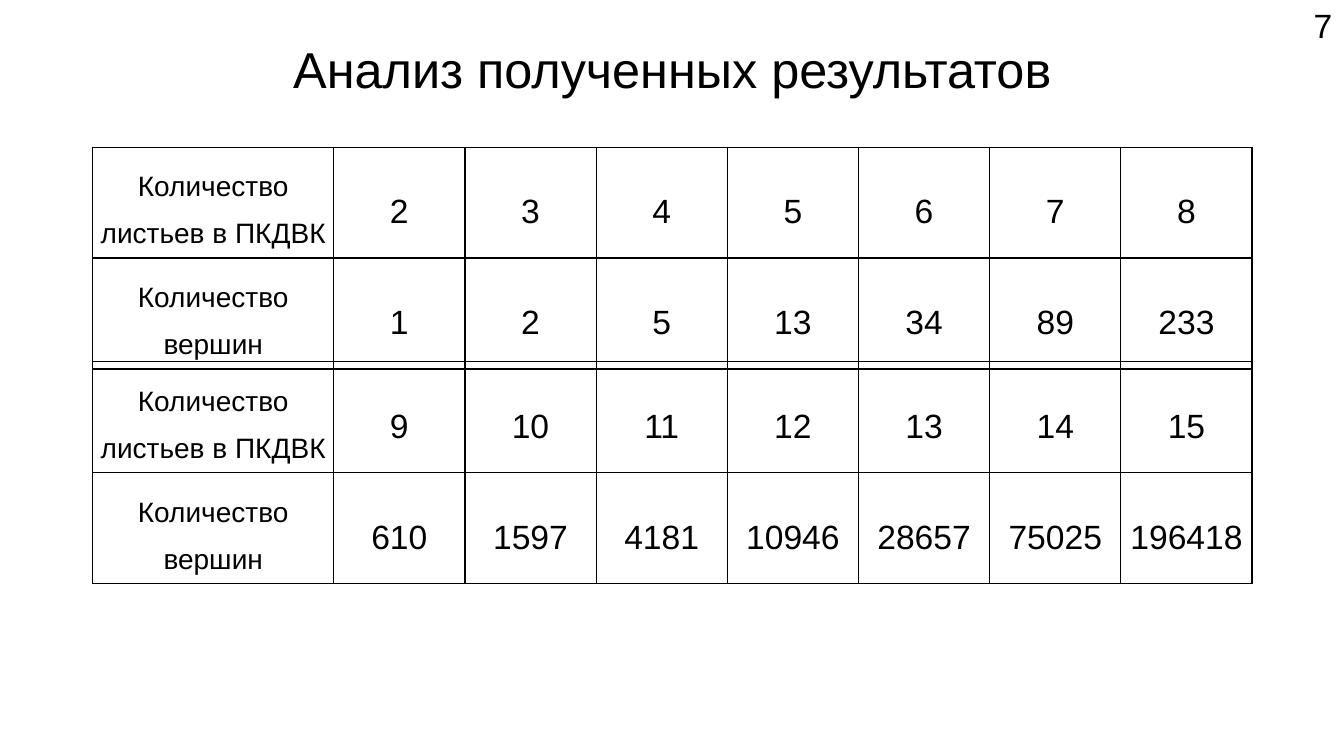
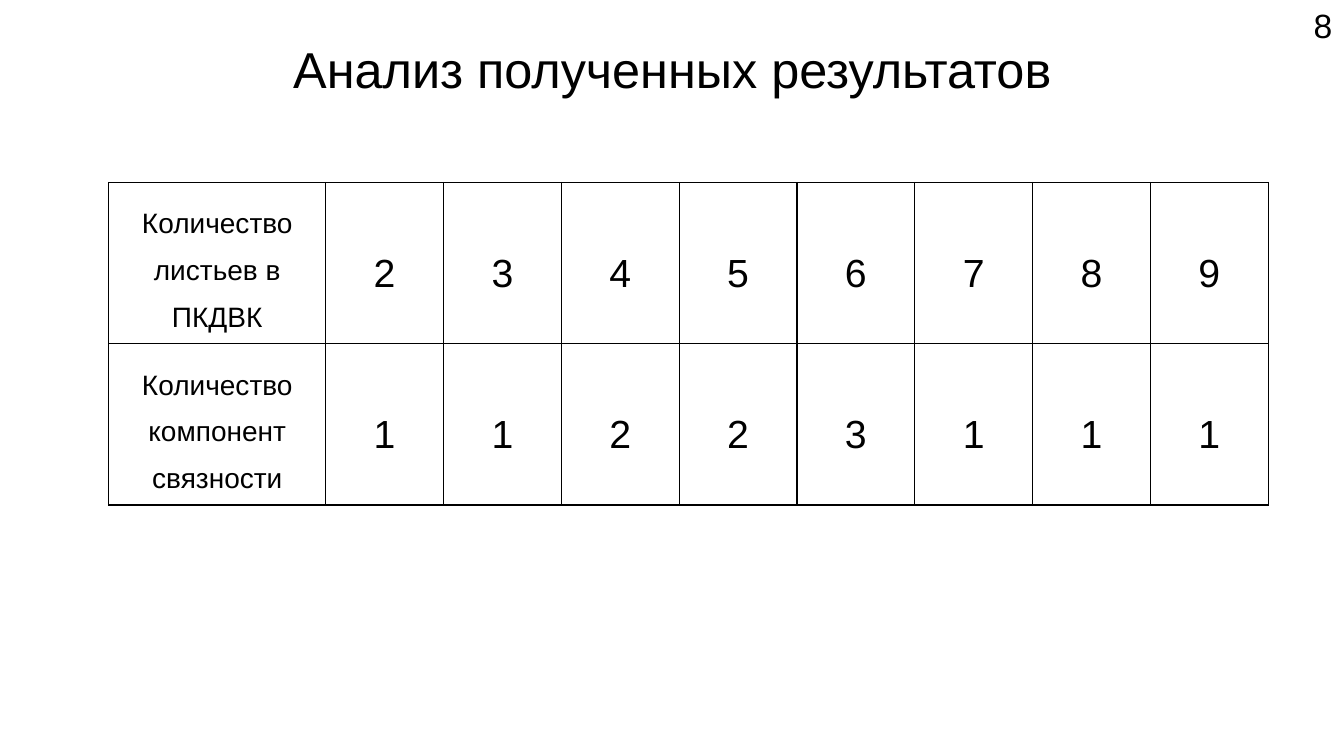
from lxml import etree
from pptx import Presentation
from pptx.dml.color import RGBColor
from pptx.enum.text import MSO_ANCHOR, MSO_AUTO_SIZE, PP_ALIGN
from pptx.oxml.ns import qn
from pptx.util import Inches, Pt

CENTER = PP_ALIGN.CENTER
LEFT = PP_ALIGN.LEFT
TOP = MSO_ANCHOR.TOP
MIDDLE = MSO_ANCHOR.MIDDLE
NO_AUTOFIT = MSO_AUTO_SIZE.NONE
GROW = MSO_AUTO_SIZE.SHAPE_TO_FIT_TEXT

COLORS = {"text": "000000", "border": "000000"}
FONT = "Arial"
TITLE = "Анализ полученных результатов"
LEAVES = "Количество листьев в ПКДВК"
VERTICES = "Количество вершин"
COMPONENTS = "Количество компонент связности"
TITLE_ONLY_LAYOUT = 5
TABLE_WIDTH = 11.5
CELL_MARGIN = Inches(0.05)


def format_paragraph(paragraph, size, alignment, line_spacing=1.0):
    paragraph.alignment = alignment
    paragraph.line_spacing = line_spacing
    paragraph.font.name = FONT
    paragraph.font.size = Pt(size)
    paragraph.font.color.rgb = RGBColor.from_string(COLORS["text"])


def add_slide(presentation, number):
    slide = presentation.slides.add_slide(presentation.slide_layouts[TITLE_ONLY_LAYOUT])
    title = slide.shapes.title
    title.left, title.top = Inches(0.92), Inches(0.4)
    title.width, title.height = Inches(11.5), Inches(1.45)
    title.text_frame.text = TITLE
    title.text_frame.vertical_anchor = TOP
    title.text_frame.auto_size = NO_AUTOFIT
    format_paragraph(title.text_frame.paragraphs[0], 36, CENTER, 0.9)

    number_box = slide.shapes.add_textbox(Inches(12.93), 0, Inches(0.41), Inches(0.5))
    number_box.text_frame.text = str(number)
    number_box.text_frame.word_wrap = True
    number_box.text_frame.auto_size = GROW
    format_paragraph(number_box.text_frame.paragraphs[0], 24, LEFT)
    return slide


def add_borders(cell):
    properties = cell._tc.get_or_add_tcPr()
    for side in ("a:lnL", "a:lnR", "a:lnT", "a:lnB"):
        line = etree.SubElement(properties, qn(side), w=str(Pt(1)))
        fill = etree.SubElement(line, qn("a:solidFill"))
        etree.SubElement(fill, qn("a:srgbClr"), val=COLORS["border"])


def fill_cell(cell, text, size):
    cell.text = str(text)
    cell.vertical_anchor = MIDDLE
    cell.margin_left = cell.margin_right = CELL_MARGIN
    cell.margin_top = cell.margin_bottom = CELL_MARGIN
    format_paragraph(cell.text_frame.paragraphs[0], size, CENTER, 1.5)
    add_borders(cell)
    cell.fill.background()


def add_results_table(slide, rows, left, top, label_width, row_height, value_size):
    column_count = len(rows[0])
    frame = slide.shapes.add_table(
        len(rows), column_count, Inches(left), Inches(top),
        Inches(TABLE_WIDTH), Inches(row_height * len(rows)))
    table = frame.table
    table.first_row = table.horz_banding = False
    value_width = (TABLE_WIDTH - label_width) / (column_count - 1)
    for index, column in enumerate(table.columns):
        column.width = Inches(value_width if index else label_width)
    for row_index, values in enumerate(rows):
        table.rows[row_index].height = Inches(row_height)
        for column_index, value in enumerate(values):
            size = value_size if column_index else 20
            fill_cell(table.cell(row_index, column_index), value, size)


def main():
    presentation = Presentation()
    presentation.slide_width = Inches(13.33)
    presentation.slide_height = Inches(7.5)

    vertices_slide = add_slide(presentation, 7)
    vertex_tables = [
        (1.46, range(2, 9), [1, 2, 5, 13, 34, 89, 233]),
        (3.59, range(9, 16), [610, 1597, 4181, 10946, 28657, 75025, 196418]),
    ]
    for top, leaves, vertices in vertex_tables:
        rows = [[LEAVES, *leaves], [VERTICES, *vertices]]
        add_results_table(vertices_slide, rows, 0.92, top, 2.39, 1.03, 24)

    components_slide = add_slide(presentation, 8)
    rows = [[LEAVES, *range(2, 10)], [COMPONENTS, 1, 1, 2, 2, 3, 1, 1, 1]]
    add_results_table(components_slide, rows, 1.08, 1.81, 2.15, 1.49, 28)

    presentation.save("out.pptx")


if __name__ == "__main__":
    main()
